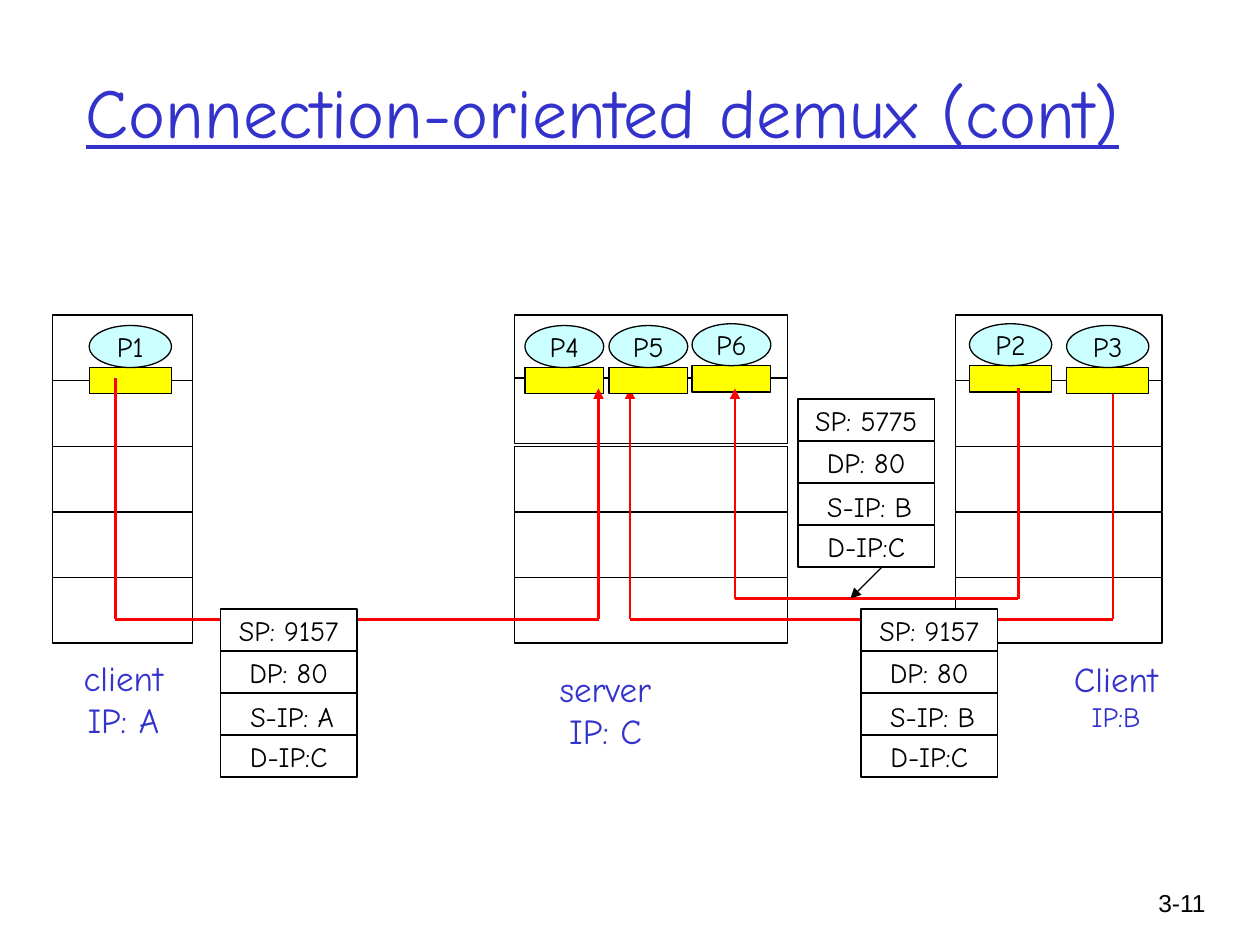
from itertools import pairwise

from lxml.etree import SubElement
from pptx import Presentation
from pptx.dml.color import RGBColor
from pptx.enum.shapes import MSO_CONNECTOR, MSO_SHAPE
from pptx.enum.text import MSO_ANCHOR, PP_ALIGN
from pptx.oxml.ns import qn
from pptx.util import Pt

COLORS = {
    "paper": "FFFFFF",
    "ink": "000000",
    "heading": "3333CC",
    "process": "CCFFFF",
    "socket": "FFFF00",
    "flow": "FF0000",
}
HAND, SANS = "Comic Neue", "Arial"
ROW, FIELD = 37.5, 24


class DemuxSlide:
    """Style and current slide; every length is in points."""

    def __init__(self, deck):
        self.slide = deck.slides.add_slide(deck.slide_layouts[6])

    def color(self, name):
        return RGBColor.from_string(COLORS[name])

    def set_lines(self, frame, lines, color="ink", font=HAND, align=PP_ALIGN.CENTER,
                  underline=None, **layout):
        """Fill a frame with (text, size) lines; layout holds frame attributes."""
        for name, value in layout.items():
            setattr(frame, name, value)
        for index, (text, size) in enumerate(lines):
            paragraph = frame.add_paragraph() if index else frame.paragraphs[0]
            paragraph.text = text
            paragraph.alignment = align
            style = {"name": font, "size": Pt(size), "underline": underline}
            for name, value in style.items():
                setattr(paragraph.font, name, value)
            paragraph.font.color.rgb = self.color(color)

    def text(self, box, lines, **style):
        frame = self.slide.shapes.add_textbox(*map(Pt, box)).text_frame
        self.set_lines(frame, lines, **style)

    def shape(self, box, fill="paper", kind=MSO_SHAPE.RECTANGLE, text=None, **layout):
        shape = self.slide.shapes.add_shape(kind, *map(Pt, box))
        shape.shadow.inherit = False
        shape.fill.solid()
        shape.fill.fore_color.rgb = self.color(fill)
        shape.line.color.rgb = self.color("ink")
        shape.line.width = Pt(0.75)
        if text:
            self.set_lines(shape.text_frame, [(text, 16)], word_wrap=False,
                           vertical_anchor=MSO_ANCHOR.MIDDLE, **layout)

    def line(self, start, end, color="flow", width=1.5, arrow=False):
        connector = self.slide.shapes.add_connector(
            MSO_CONNECTOR.STRAIGHT, *map(Pt, (*start, *end)))
        connector.line.color.rgb = self.color(color)
        connector.line.width = Pt(width)
        properties = connector._element.spPr
        if arrow:
            SubElement(properties.find(qn("a:ln")), qn("a:tailEnd"), type="triangle")
        SubElement(properties, qn("a:effectLst"))

    def flow(self, *points):
        """Draw a path of straight legs with an arrowhead on the last one."""
        for start, end in pairwise(points):
            self.line(start, end, arrow=end == points[-1])

    def host(self, left, width, tops):
        for top in tops:
            self.shape((left, top, width, ROW))

    def process(self, name, left, top, width):
        """Draw a process on top of its socket."""
        self.shape((left, top + 24, width, 15), "socket")
        self.shape((left, top, width, 24), "process", MSO_SHAPE.OVAL, name)

    def packet(self, left, top, source_port, source_ip):
        fields = [f"SP: {source_port}", "DP: 80", f"S-IP: {source_ip}", "D-IP:C"]
        for row, field in enumerate(fields):
            shift = {"margin_left": Pt(11), "margin_top": Pt(6)} if row == 2 else {}
            self.shape((left, top + row * FIELD, 78, FIELD), text=field, **shift)


def main():
    deck = Presentation()
    deck.slide_width, deck.slide_height = Pt(720), Pt(540)
    demux = DemuxSlide(deck)

    demux.text((643, 504, 53, 36), [("3-11", 14)], font=SANS,
               align=PP_ALIGN.RIGHT, word_wrap=True)
    demux.text((42, 18, 612, 90), [("Connection-oriented demux (cont)", 40)],
               color="heading", align=PP_ALIGN.LEFT, underline=True,
               word_wrap=True, vertical_anchor=MSO_ANCHOR.MIDDLE)
    for box, lines in [
        ((39.5, 371.5, 62, 55.5), [("client", 20), ("IP: A", 20)]),
        ((312.5, 378, 67, 55.5), [("server", 20), ("IP: C", 20)]),
        ((606.5, 372, 62.5, 50.5), [("Client", 20), ("IP:B", 16)]),
    ]:
        demux.text(box, lines, color="heading", word_wrap=False)

    layers = [180 + row * ROW for row in range(5)]
    demux.host(30, 80, layers)
    demux.host(546, 118, layers)
    demux.host(294, 156, [180, 216, *layers[2:]])

    demux.process("P1", 51, 186, 47)
    demux.process("P2", 554, 185, 47)
    demux.process("P4", 300, 186, 45)
    demux.flow((66, 216), (66, 354), (342, 354), (342, 222))
    demux.flow((636, 216), (636, 354), (360, 354), (360, 222))
    demux.process("P5", 348, 186, 45)
    demux.process("P6", 395.5, 185, 45)
    demux.process("P3", 609.5, 186, 47)
    demux.flow((582, 222), (582, 342), (420, 342), (420, 222))

    demux.packet(126, 348, 9157, "A")
    demux.packet(492, 348, 9157, "B")
    demux.packet(456, 228, 5775, "B")
    demux.line((504, 324), (486, 342), "ink", 0.75, arrow=True)

    deck.save("out.pptx")


if __name__ == "__main__":
    main()
